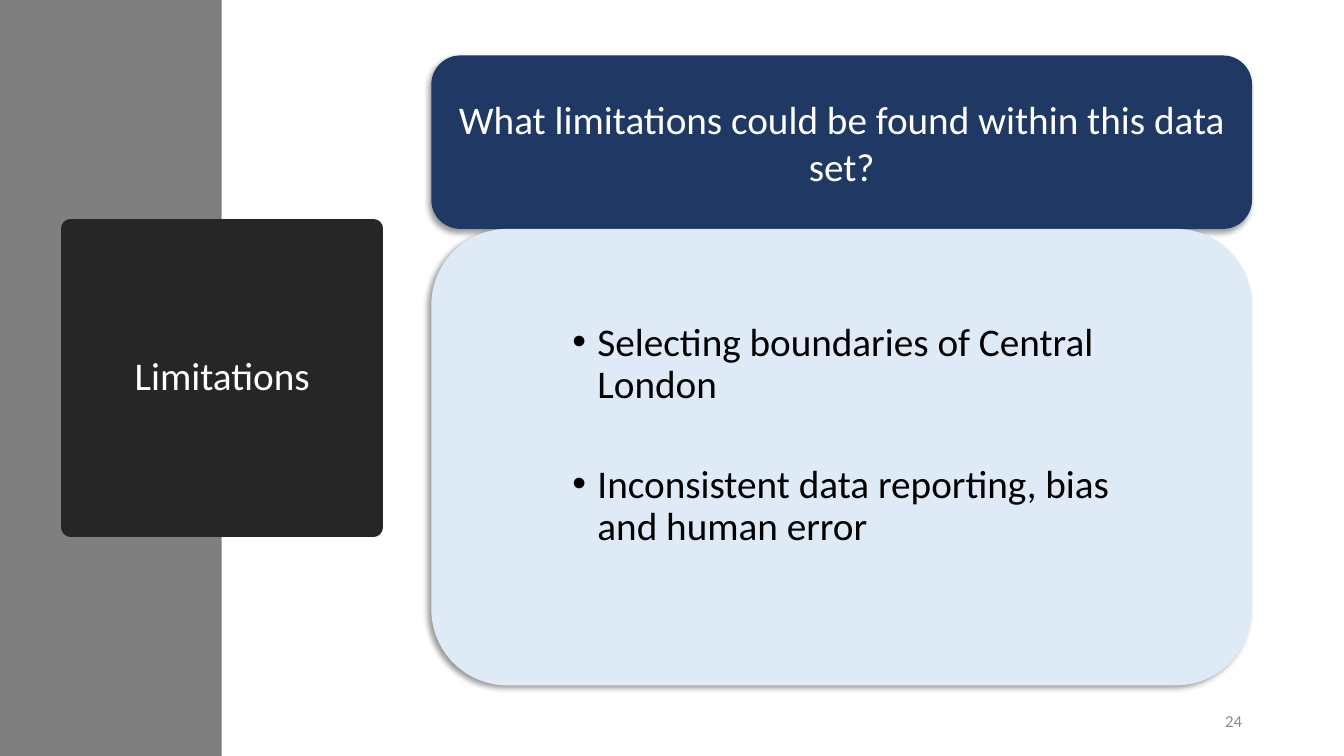
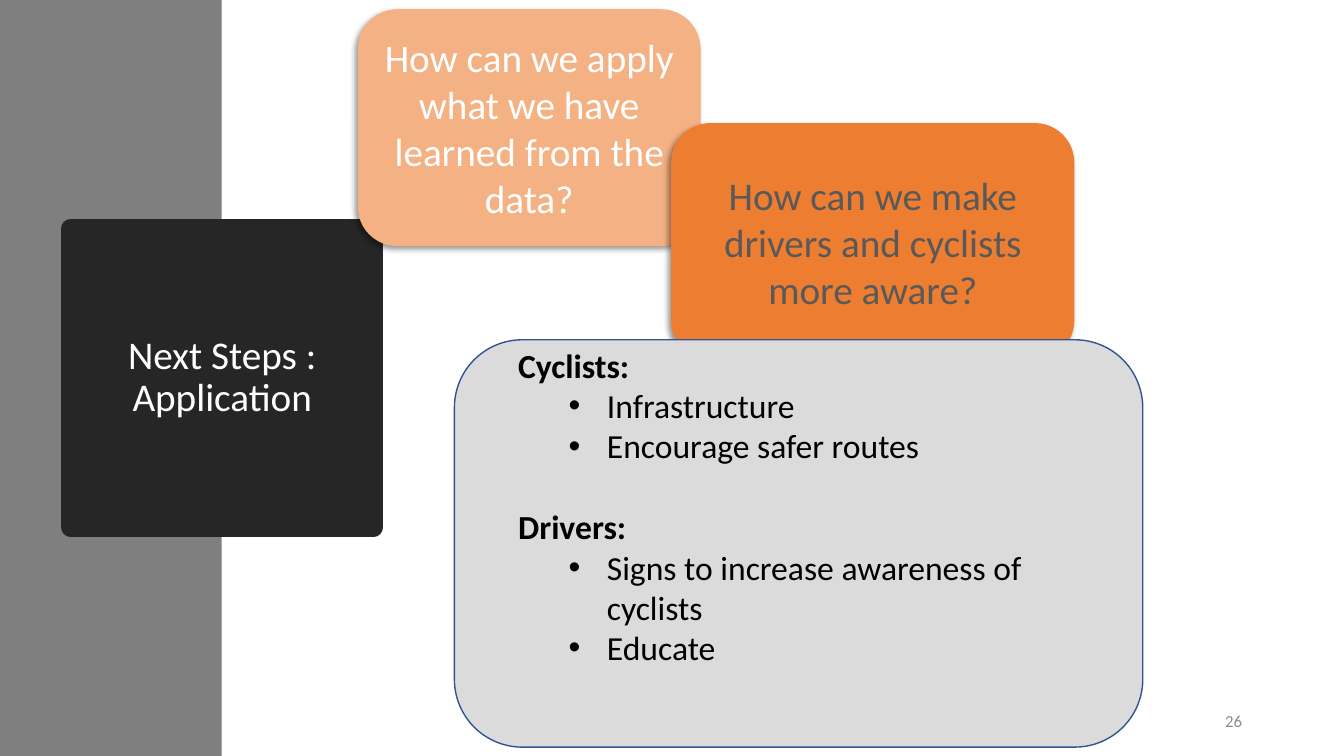
import pptx
import pptx.dml.color
import pptx.enum.shapes
import pptx.enum.text
import pptx.oxml.ns
import pptx.util
from lxml import etree

SHAPE = pptx.enum.shapes.MSO_SHAPE
ALIGN = pptx.enum.text.PP_ALIGN
MIDDLE = pptx.enum.text.MSO_ANCHOR.MIDDLE
TOP = pptx.enum.text.MSO_ANCHOR.TOP
qn = pptx.oxml.ns.qn


def color(value):
    return pptx.dml.color.RGBColor.from_string(value)


def child(parent, tag, **attributes):
    return etree.SubElement(parent, qn(tag), {k: str(v) for k, v in attributes.items()})


class Deck:
    COLUMNS, ROWS = 32, 18
    FONT = "Calibri"
    WHITE, BLACK = "FFFFFF", "000000"
    BAND, TITLE, PAGE = "7F7F7F", "262626", "8C8C8C"
    SIZE = 28

    def __init__(self):
        self.prs = pptx.Presentation()
        self.prs.slide_width = pptx.util.Inches(13.33)
        self.prs.slide_height = pptx.util.Inches(7.5)
        self.slide = None

    def place(self, left, top, width, height):
        column = self.prs.slide_width / self.COLUMNS
        row = self.prs.slide_height / self.ROWS
        return [int(n * unit) for n, unit in zip((left, top, width, height), (column, row) * 2)]

    def add_slide(self, title, number):
        self.slide = self.prs.slides.add_slide(self.prs.slide_layouts[6])
        self.box((0, 0, 5.28, self.ROWS), self.BAND, kind=SHAPE.RECTANGLE)
        heading = self.box((1.68, 5.45, 7.22, 7.1), self.TITLE, title, line=(self.TITLE, 13.75),
                           kind=SHAPE.RECTANGLE, spacing=0.9)
        child(heading._element.spPr.find(qn("a:ln")), "a:round")
        page = self.text_frame((22.61, 16.68, 7.2, 0.96), MIDDLE)
        self.set_text(page.paragraphs[0], str(number), self.PAGE, size=12, alignment=ALIGN.RIGHT)

    def box(self, cells, fill, text=None, ink=WHITE, line=None, shadow=False,
            kind=SHAPE.ROUNDED_RECTANGLE, spacing=None):
        shape = self.slide.shapes.add_shape(kind, *self.place(*cells))
        shape.shadow.inherit = False
        shape.fill.solid()
        shape.fill.fore_color.rgb = color(fill)
        if line:
            shape.line.color.rgb = color(line[0])
            shape.line.width = pptx.util.Pt(line[1])
        else:
            shape.line.fill.background()
        if shadow:
            self.cast_shadow(shape)
        if text:
            shape.text_frame.word_wrap = True
            shape.text_frame.vertical_anchor = MIDDLE
            self.set_text(shape.text_frame.paragraphs[0], text, ink,
                          alignment=ALIGN.CENTER, line_spacing=spacing)
        return shape

    def cast_shadow(self, shape):
        effects = shape._element.spPr.find(qn("a:effectLst"))
        outer = child(effects, "a:outerShdw", blurRad=pptx.util.Pt(4), dist=pptx.util.Pt(3),
                      dir=135 * 60000, algn="tr", rotWithShape=0)
        child(child(outer, "a:srgbClr", val=self.BLACK), "a:alpha", val=40000)

    def text_frame(self, cells, anchor=TOP):
        frame = self.slide.shapes.add_textbox(*self.place(*cells)).text_frame
        frame.word_wrap = True
        frame.vertical_anchor = anchor
        return frame

    def set_text(self, paragraph, text, ink, size=SIZE, bold=False, **layout):
        paragraph.text = text
        for name, value in layout.items():
            setattr(paragraph, name, value)
        style = {"name": self.FONT, "size": pptx.util.Pt(size), "bold": bold}
        for name, value in style.items():
            setattr(paragraph.font, name, value)
        paragraph.font.color.rgb = color(ink)

    def bulleted(self, paragraph, text, margin, hang, size=SIZE, **layout):
        properties = paragraph._p.get_or_add_pPr()
        properties.set("marL", str(pptx.util.Inches(margin)))
        properties.set("indent", str(-pptx.util.Inches(hang)))
        child(properties, "a:buFont", typeface="Arial")
        child(properties, "a:buChar", char="•")
        self.set_text(paragraph, text, self.BLACK, size, level=1, **layout)

    def bullet_list(self, cells, items, gap):
        frame = self.text_frame(cells)
        for index, item in enumerate(items):
            paragraph = frame.add_paragraph() if index else frame.paragraphs[0]
            before = pptx.util.Pt(gap if index else 0)
            self.bulleted(paragraph, item, 0.75, 0.25, line_spacing=0.9, space_before=before)

    def grouped_list(self, cells, groups, gap, size=24):
        frame = self.text_frame(cells)
        for index, (heading, items) in enumerate(groups.items()):
            paragraph = frame.add_paragraph() if index else frame.paragraphs[0]
            before = pptx.util.Pt(gap if index else 0)
            self.set_text(paragraph, heading, self.BLACK, size, bold=True, space_before=before)
            for item in items:
                self.bulleted(frame.add_paragraph(), item, 0.88, 0.38, size)


def limitations(deck):
    deck.add_slide("Limitations", 24)
    deck.box((10.27, 1.32, 19.54, 4.13), "203864",
             "What limitations could be found within this data set?", shadow=True)
    deck.box((10.27, 5.45, 19.54, 10.87), "DEEBF7", shadow=True)
    deck.bullet_list((12.19, 7.56, 15.67, 8.76), [
        "Selecting boundaries of Central London",
        "Inconsistent data reporting, bias and human error",
    ], gap=41)


def next_steps(deck):
    deck.add_slide("Next Steps : Application", 26)
    deck.box((8.52, 0.22, 8.16, 5.64), "F4B183",
             "How can we apply what we have learned from the data?", shadow=True)
    deck.box((15.98, 2.93, 9.6, 5.64), "ED7D31",
             "How can we make drivers and cyclists more aware?", "595959", shadow=True)
    deck.box((10.82, 8.09, 16.39, 9.7), "DBDBDB", line=("325491", 1))
    deck.grouped_list((12.1, 8.09, 13.82, 8.98), {
        "Cyclists:": ["Infrastructure", "Encourage safer routes"],
        "Drivers:": ["Signs to increase awareness of cyclists", "Educate"],
    }, gap=29)


def main():
    deck = Deck()
    limitations(deck)
    next_steps(deck)
    deck.prs.save("out.pptx")


if __name__ == "__main__":
    main()
